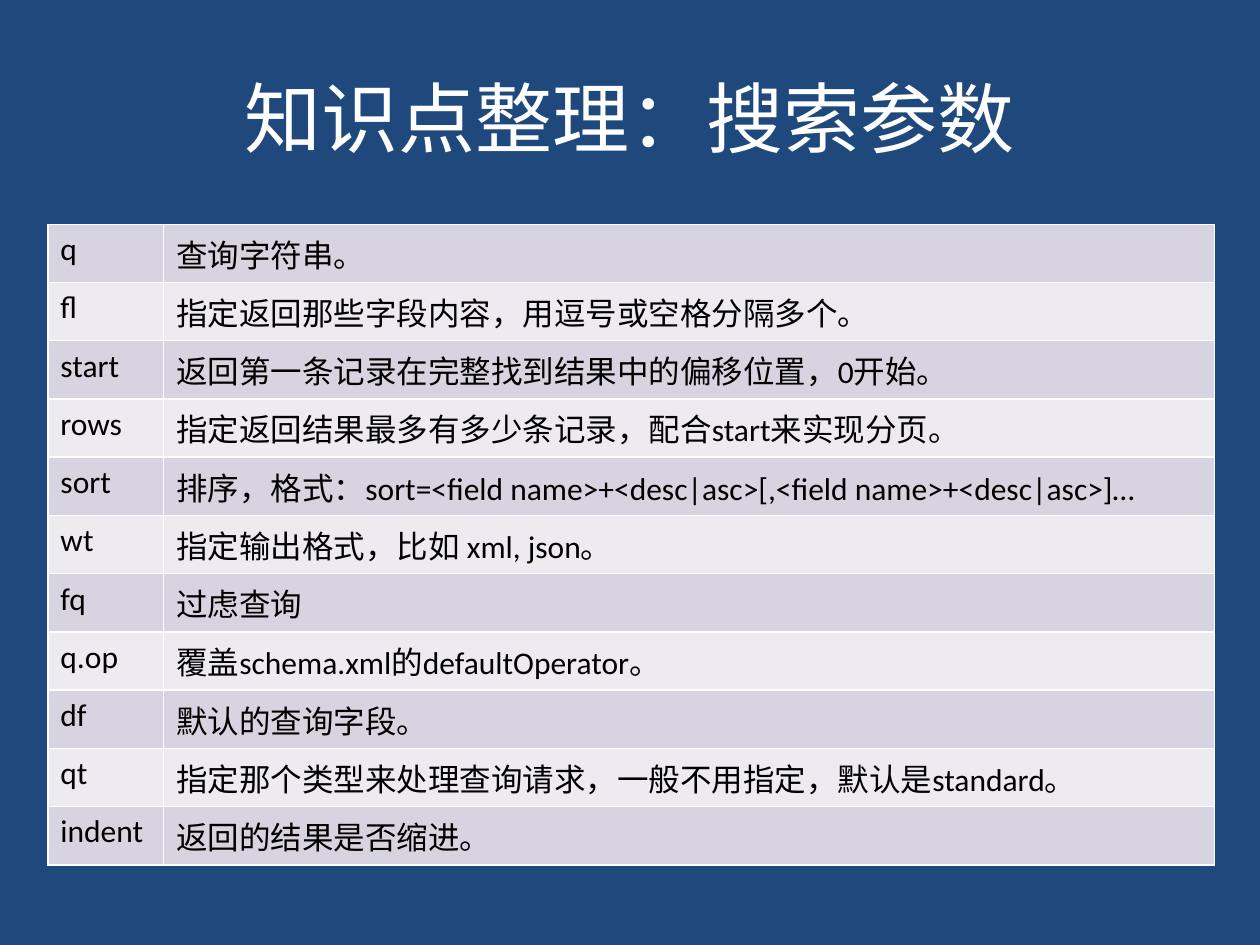
from lxml import etree
from pptx import Presentation
from pptx import util as u
from pptx.dml.color import RGBColor
from pptx.enum import text
from pptx.oxml import ns

PARAMETERS = [
    ("q", "查询字符串。"),
    ("fl", "指定返回那些字段内容，用逗号或空格分隔多个。"),
    ("start", "返回第一条记录在完整找到结果中的偏移位置，0开始。"),
    ("rows", "指定返回结果最多有多少条记录，配合start来实现分页。"),
    ("sort", "排序，格式：sort=<field name>+<desc|asc>[,<field name>+<desc|asc>]…"),
    ("wt", "指定输出格式，比如 xml, json。"),
    ("fq", "过虑查询"),
    ("q.op", "覆盖schema.xml的defaultOperator。"),
    ("df", "默认的查询字段。"),
    ("qt", "指定那个类型来处理查询请求，一般不用指定，默认是standard。"),
    ("indent", "返回的结果是否缩进。"),
]


def color(value):
    return RGBColor.from_string(value)


class SlideBuilder:
    """Hold the style and the current page, and add elements to it."""

    font = "Calibri"
    background = "1F497D"
    light = "FFFFFF"
    dark = "000000"
    bands = ("D8D3E0", "EDEAF0")

    def __init__(self, deck):
        self.page = deck.slides.add_slide(deck.slide_layouts[5])
        fill = self.page.background.fill
        fill.solid()
        fill.fore_color.rgb = color(self.background)

    def style(self, para, size, shade):
        para.font.name = self.font
        para.font.size = u.Pt(size)
        para.font.color.rgb = color(shade)

    def title(self, wording, left, top, width, height):
        box = self.page.shapes.title
        box.left, box.top = u.Inches(left), u.Inches(top)
        box.width, box.height = u.Inches(width), u.Inches(height)
        frame = box.text_frame
        frame.text = wording
        frame.vertical_anchor = text.MSO_ANCHOR.MIDDLE
        para = frame.paragraphs[0]
        para.alignment = text.PP_ALIGN.CENTER
        self.style(para, 44, self.light)

    def borders(self, cell):
        properties = cell._tc.get_or_add_tcPr()
        for position, side in enumerate(("lnL", "lnR", "lnT", "lnB")):
            line = etree.Element(ns.qn(f"a:{side}"), w=str(u.Pt(1)))
            fill = etree.SubElement(line, ns.qn("a:solidFill"))
            etree.SubElement(fill, ns.qn("a:srgbClr"), val=self.light)
            properties.insert(position, line)

    def table(self, rows, left, top, widths, height):
        grid = self.page.shapes.add_table(
            len(rows), len(widths), u.Inches(left), u.Inches(top),
            u.Inches(sum(widths)), u.Inches(height)).table
        for column, width in zip(grid.columns, widths):
            column.width = u.Inches(width)
        for row, wordings in enumerate(rows):
            for column, wording in enumerate(wordings):
                cell = grid.cell(row, column)
                cell.text = wording
                self.style(cell.text_frame.paragraphs[0], 18, self.dark)
                cell.fill.solid()
                cell.fill.fore_color.rgb = color(self.bands[row % 2])
                self.borders(cell)


def main():
    deck = Presentation()
    deck.slide_width, deck.slide_height = u.Inches(10), u.Inches(7.5)
    builder = SlideBuilder(deck)
    builder.title("知识点整理：搜索参数", 0.5, 0.3, 9, 1.25)
    builder.table(PARAMETERS, 0.38, 1.78, (0.92, 8.34), 4.46)
    deck.save("out.pptx")


main()
